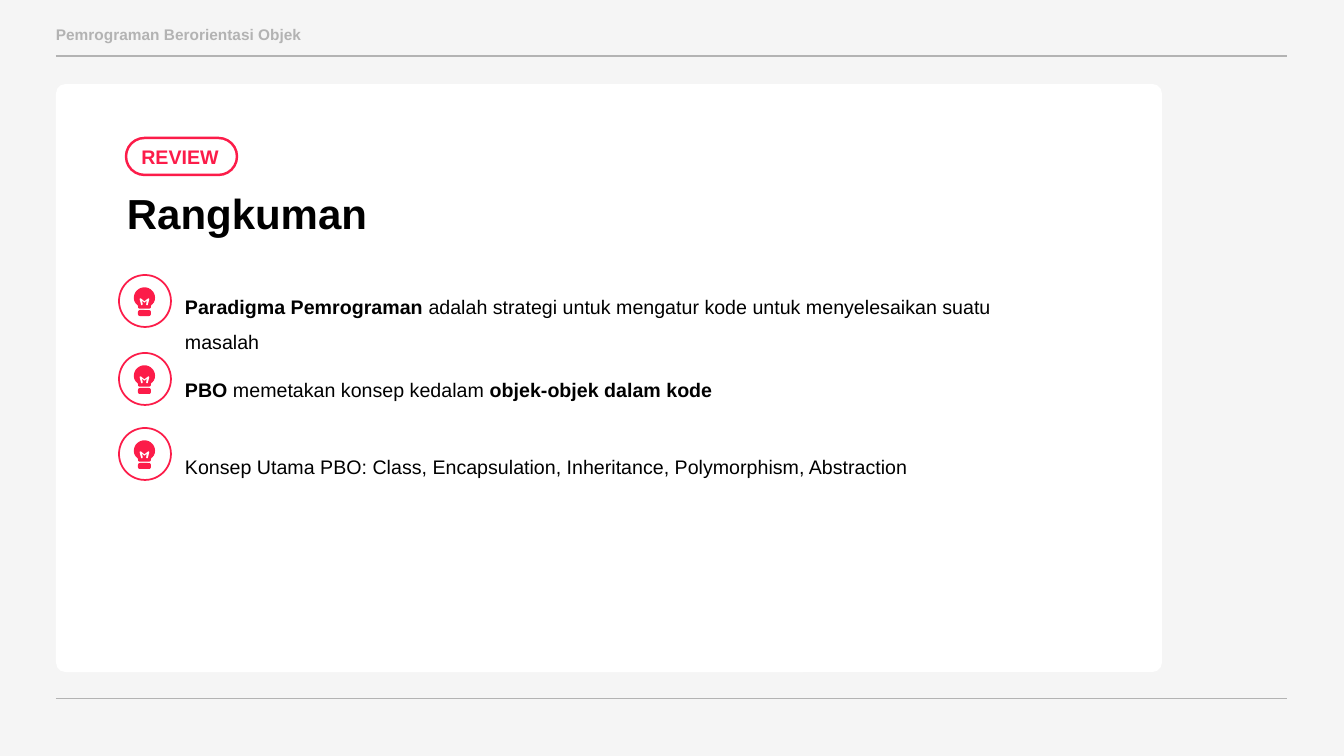
from lxml import etree
from pptx import Presentation
from pptx.dml.color import RGBColor
from pptx.enum.shapes import MSO_CONNECTOR as CONNECTOR, MSO_SHAPE as SHAPE
from pptx.enum.text import MSO_ANCHOR as ANCHOR, PP_ALIGN as ALIGN
from pptx.oxml.ns import qn
from pptx.util import Pt

PX = 12192000 / 1344
FONT = "Arial"
COLORS = {
    "background": "F5F5F5",
    "card": "FFFFFF",
    "muted": "B3B3B3",
    "accent": "FC1C49",
    "text": "000000",
}

BULB_CENTER = 255
BULB_TOP = (255, 123)
BULB_CURVES = [
    ((196, 123), (149, 170), (149, 228)),
    ((149, 257), (161, 281), (181, 296)),
    ((188, 302), (191, 308), (191, 318)),
    ((191, 330), (198, 336), (211, 336)),
]
FILAMENT_HALF = [
    (255, 264), (221, 236), (211, 234), (207, 242), (222, 300),
    (230, 304), (238, 296), (231, 256), (255, 277),
]

SUMMARY = [
    (191, 194, [
        ("Paradigma Pemrograman", True),
        (" adalah strategi untuk mengatur kode untuk menyelesaikan suatu masalah", False),
    ]),
    (269, 277, [
        ("PBO ", True),
        ("memetakan konsep kedalam ", False),
        ("objek-objek dalam kode", True),
    ]),
    (344, 354, [
        ("Konsep Utama PBO: Class, Encapsulation, Inheritance, Polymorphism, Abstraction", False),
    ]),
]


def px(value):
    return round(value * PX)


def color(name):
    return RGBColor.from_string(COLORS[name])


def style_shape(shape, fill, line=None, line_width=1):
    shape.shadow.inherit = False
    shape.fill.solid()
    shape.fill.fore_color.rgb = color(fill)
    if line:
        shape.line.color.rgb = color(line)
        shape.line.width = Pt(line_width)
    else:
        shape.line.fill.background()


def add_preset(shapes, preset, box, fill, line=None, line_width=1, radius=None):
    shape = shapes.add_shape(preset, *map(px, box))
    style_shape(shape, fill, line, line_width)
    if radius is not None:
        shape.adjustments[0] = radius
    return shape


def write_runs(shape, runs, size, font_color, spacing=None):
    shape.text_frame.word_wrap = True
    paragraph = shape.text_frame.paragraphs[0]
    paragraph.alignment = ALIGN.LEFT
    if spacing:
        paragraph.line_spacing = spacing
    for text, bold in runs:
        run = paragraph.add_run()
        run.text = text
        run.font.name = FONT
        run.font.size = Pt(size)
        run.font.bold = bold
        run.font.color.rgb = color(font_color)


def add_text(slide, box, runs, size, font_color, spacing=None):
    shape = slide.shapes.add_textbox(*map(px, box))
    write_runs(shape, runs, size, font_color, spacing)


def add_rule(slide, left, right, y):
    rule = slide.shapes.add_connector(
        CONNECTOR.STRAIGHT, px(left), px(y), px(right), px(y))
    rule.line.color.rgb = color("muted")
    rule.line.width = Pt(0.75)
    etree.SubElement(rule._element.spPr, qn("a:effectLst"))


def curve_points(start, curves, steps=8):
    points = [start]
    for first, second, end in curves:
        origin = points[-1]
        for step in range(1, steps + 1):
            t = step / steps
            weights = ((1 - t) ** 3, 3 * t * (1 - t) ** 2, 3 * t * t * (1 - t), t ** 3)
            corners = (origin, first, second, end)
            points.append(tuple(
                sum(weight * corner[axis] for weight, corner in zip(weights, corners))
                for axis in (0, 1)))
    return points


def add_symmetric_outline(shapes, left, top, half, fill):
    mirrored = [(2 * BULB_CENTER - x, y) for x, y in reversed(half)]
    points = half + mirrored
    builder = shapes.build_freeform(*points[0], scale=PX / 10)
    builder.add_line_segments(points[1:], close=True)
    style_shape(builder.convert_to_shape(px(left), px(top)), fill)


def add_bulb_icon(slide, left, top):
    shapes = slide.shapes.add_group_shape().shapes
    add_preset(shapes, SHAPE.OVAL, (left, top, 52, 52), "card", "accent", 1.25)
    add_symmetric_outline(shapes, left, top, curve_points(BULB_TOP, BULB_CURVES), "accent")
    add_preset(shapes, SHAPE.ROUNDED_RECTANGLE, (left + 19, top + 35, 13, 6),
               "accent", radius=0.35)
    add_symmetric_outline(shapes, left, top, FILAMENT_HALF, "card")


def add_frame(slide, left, top, width, height):
    slide.background.fill.solid()
    slide.background.fill.fore_color.rgb = color("background")
    for y in (top, top + height):
        add_rule(slide, left, left + width, y)
    add_text(slide, (left - 10, top - 36, 589, 29),
             [("Pemrograman Berorientasi Objek", True)], 11, "muted")


def add_summary_card(slide, left, top, width, height):
    add_preset(slide.shapes, SHAPE.ROUNDED_RECTANGLE, (left, top, width, height),
               "card", radius=0.016)
    add_text(slide, (left + 61, top + 88, 422, 68),
             [("Rangkuman", True)], 30, "text", 1.21)
    badge = add_preset(slide.shapes, SHAPE.ROUNDED_RECTANGLE,
                       (left + 70, top + 54, 111, 37), "card", "accent", 1.75, 0.5)
    badge.text_frame.vertical_anchor = ANCHOR.MIDDLE
    write_runs(badge, [("REVIEW", True)], 14, "accent")
    for icon_top, text_top, runs in SUMMARY:
        add_bulb_icon(slide, left + 63, top + icon_top)
        add_text(slide, (left + 119, top + text_top, 834, 56), runs, 14, "text", 1.49)


def main():
    presentation = Presentation()
    presentation.slide_width = px(1344)
    presentation.slide_height = px(756)
    slide = presentation.slides.add_slide(presentation.slide_layouts[6])
    add_frame(slide, 56, 56, 1231, 643)
    add_summary_card(slide, 56, 84, 1106, 588)
    presentation.save("out.pptx")


if __name__ == "__main__":
    main()
